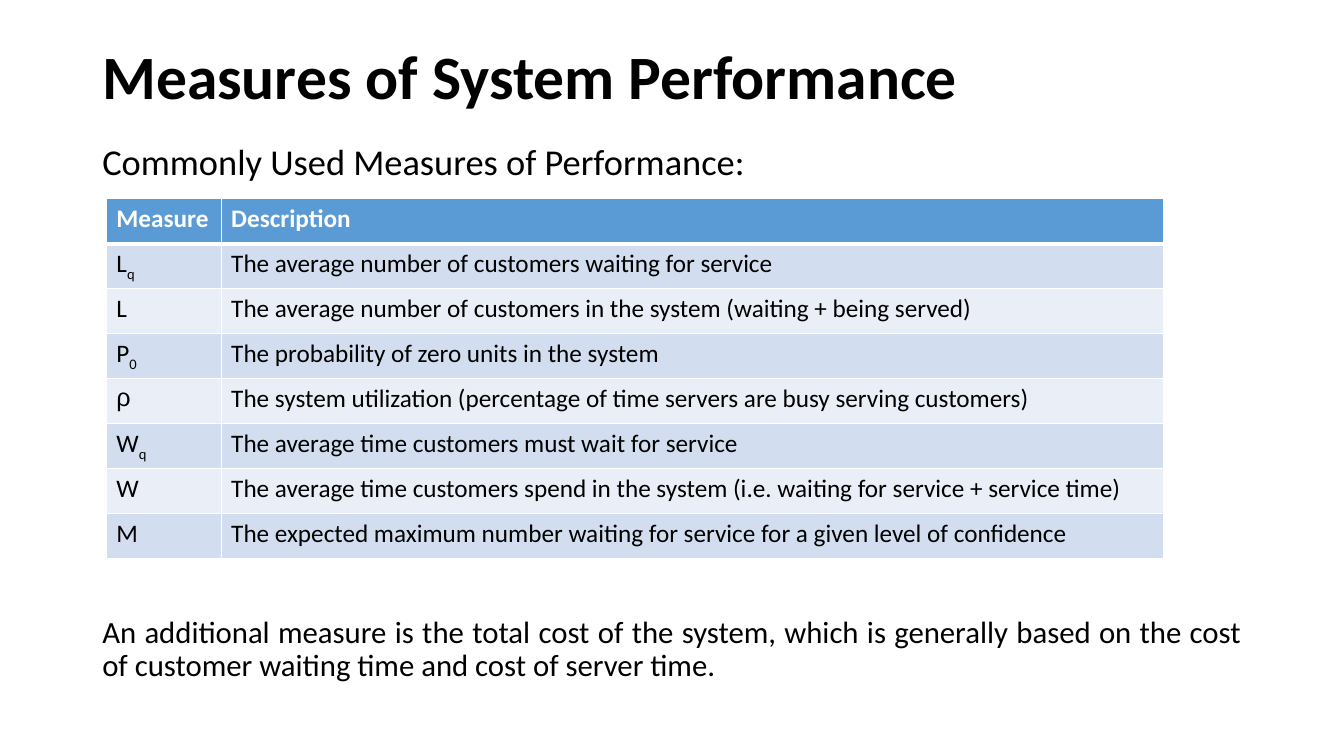
import pptx
import pptx.util
import pptx.dml.color
import pptx.enum.text
import pptx.oxml.ns
from lxml import etree

Pt = pptx.util.Pt
ALIGN = pptx.enum.text.PP_ALIGN
ANCHOR = pptx.enum.text.MSO_ANCHOR

COLORS = {
    "ink": "000000",
    "white": "FFFFFF",
    "head": "5B9BD5",
    "odd": "D2DEEF",
    "even": "EAEFF7",
}
FONT = "Calibri"
LEFT = 66

# Symbol, subscript, description
ROWS = [
    ("Measure", "", "Description"),
    ("L", "q", "The average number of customers waiting for service"),
    ("L", "", "The average number of customers in the system (waiting + being served)"),
    ("P", "0", "The probability of zero units in the system"),
    ("ρ", "", "The system utilization (percentage of time servers are busy serving customers)"),
    ("W", "q", "The average time customers must wait for service"),
    ("W", "", "The average time customers spend in the system (i.e. waiting for service + service time)"),
    ("M", "", "The expected maximum number waiting for service for a given level of confidence"),
]


def color(name):
    return pptx.dml.color.RGBColor.from_string(COLORS[name])


def style(font, size, ink="ink", bold=False, face=FONT):
    font.name = face
    font.size = Pt(size)
    font.bold = bold
    font.color.rgb = color(ink)


def add_text(slide, text, top, width, height, size, bold=False,
             align=ALIGN.JUSTIFY, anchor=ANCHOR.TOP):
    box = slide.shapes.add_textbox(Pt(LEFT), Pt(top), Pt(width), Pt(height))
    frame = box.text_frame
    frame.word_wrap = True
    frame.vertical_anchor = anchor
    para = frame.paragraphs[0]
    para.text = text
    para.alignment = align
    para.line_spacing = 0.9
    style(para.font, size, bold=bold)


def add_edge(cell, side, width):
    """Draw a white border on one side (L, R, T or B) of a cell."""
    props = cell._tc.get_or_add_tcPr()
    qn = pptx.oxml.ns.qn
    line = etree.SubElement(props, qn("a:ln" + side), w=str(Pt(width)))
    fill = etree.SubElement(line, qn("a:solidFill"))
    etree.SubElement(fill, qn("a:srgbClr"), val=COLORS["white"])


def fill_cell(cell, row, text, sub=""):
    head = row == 0
    for side in "LRTB":
        thick = (row, side) in ((0, "B"), (1, "T"))
        add_edge(cell, side, 3 if thick else 1)
    cell.fill.solid()
    cell.fill.fore_color.rgb = color("head" if head else "odd" if row % 2 else "even")
    para = cell.text_frame.paragraphs[0]
    for part, base in ((text, 0), (sub, -25000)):
        if part:
            run = para.add_run()
            run.text = part
            style(run.font, 18, "white" if head else "ink", head,
                  "Arial" if part == "ρ" else FONT)
            if base:
                run._r.get_or_add_rPr().set("baseline", str(base))


def add_grid(slide, left, top, widths, height):
    frame = slide.shapes.add_table(len(ROWS), len(widths), Pt(left), Pt(top),
                                   Pt(sum(widths)), Pt(height * len(ROWS)))
    table = frame.table
    for col, width in zip(table.columns, widths):
        col.width = Pt(width)
    for i, (sign, sub, text) in enumerate(ROWS):
        table.rows[i].height = Pt(height)
        fill_cell(table.cell(i, 0), i, sign, sub)
        fill_cell(table.cell(i, 1), i, text)


def main():
    deck = pptx.Presentation()
    deck.slide_width = Pt(960)
    deck.slide_height = Pt(540)
    slide = deck.slides.add_slide(deck.slide_layouts[6])
    add_text(slide, "Measures of System Performance", 29, 808, 55, 44,
             bold=True, align=ALIGN.LEFT, anchor=ANCHOR.MIDDLE)
    add_text(slide, "Commonly Used Measures of Performance:", 99.5, 828, 38, 26)
    add_grid(slide, 76, 142, (82, 673), 32.15)
    add_text(slide, "An additional measure is the total cost of the system, which is "
             "generally based on the cost of customer waiting time and cost of "
             "server time.", 437, 828, 60, 22)
    deck.save("out.pptx")


if __name__ == "__main__":
    main()
